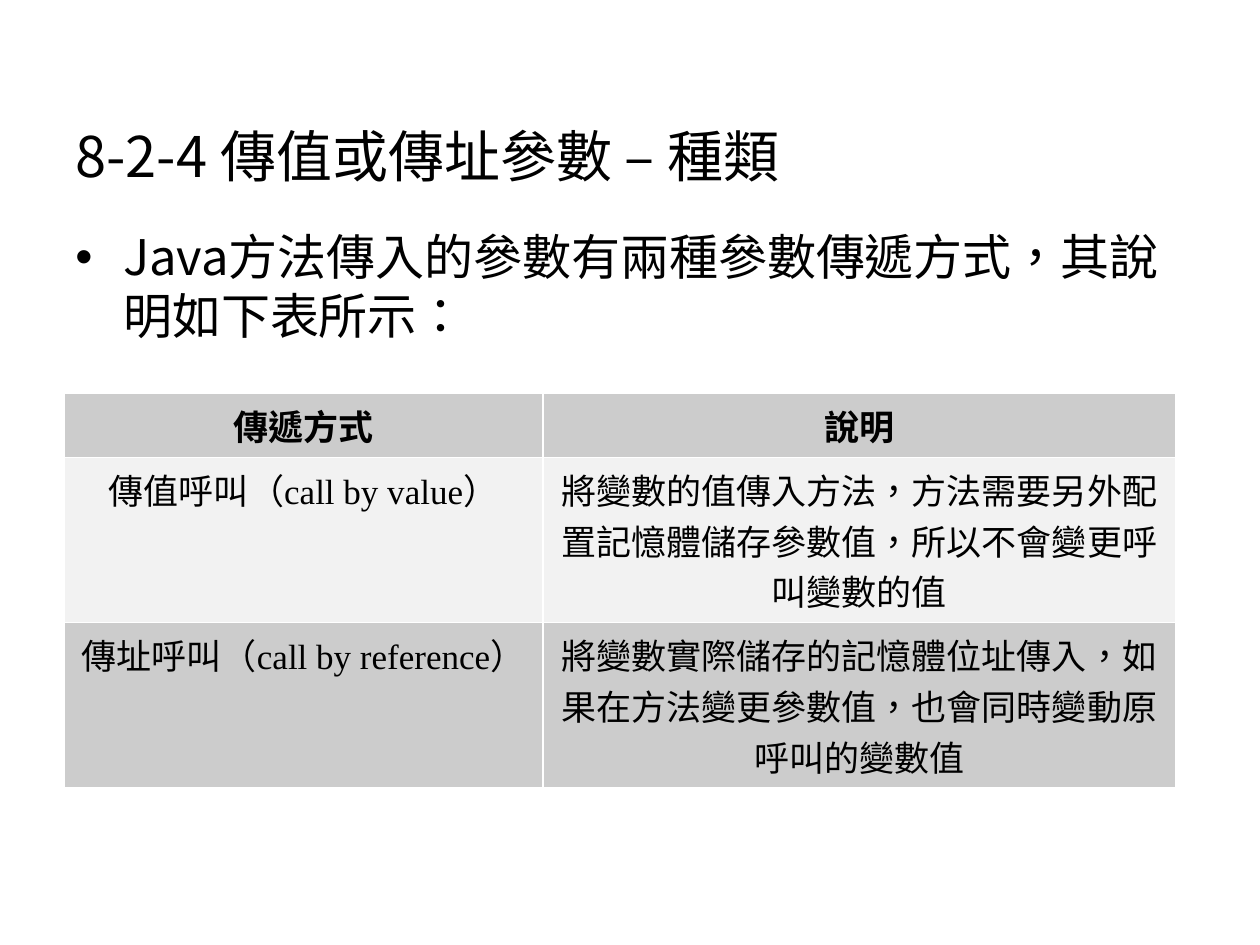
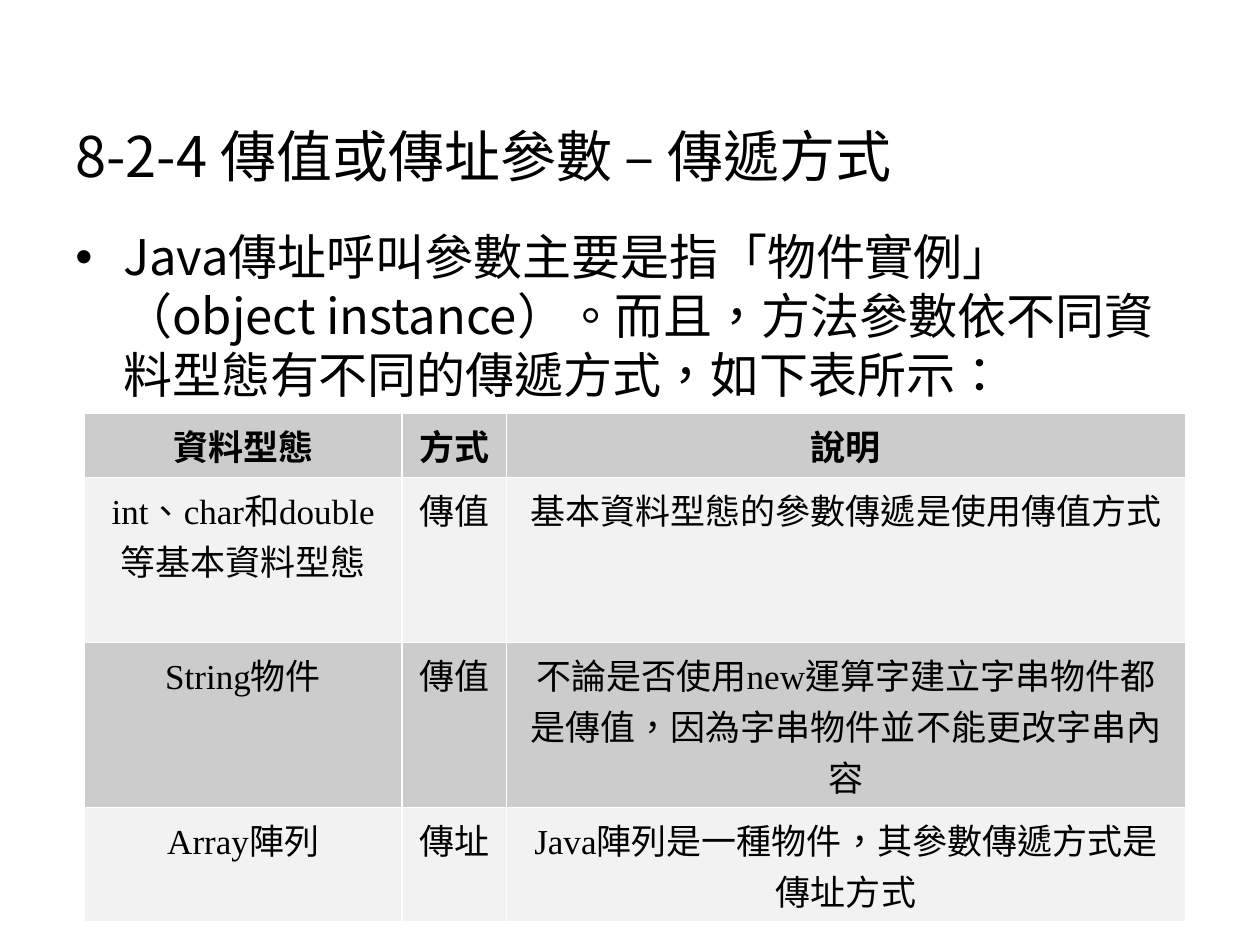
"""Build two slides on Java parameter passing, each with a title, a bullet and a table."""
from lxml import etree
from pptx import Presentation
from pptx.dml.color import RGBColor
from pptx.enum.text import MSO_ANCHOR, PP_ALIGN
from pptx.oxml.ns import qn
from pptx.util import Inches, Pt

BLACK = RGBColor(0x00, 0x00, 0x00)
DARK_BAND = RGBColor(0xCC, 0xCC, 0xCC)
LIGHT_BAND = RGBColor(0xF2, 0xF2, 0xF2)
BORDER = RGBColor(0xFF, 0xFF, 0xFF)
SANS = "Noto Sans CJK SC"
SERIF = "Times New Roman"
BOTTOM = MSO_ANCHOR.BOTTOM
TOP = MSO_ANCHOR.TOP
LEFT = PP_ALIGN.LEFT
CENTER = PP_ALIGN.CENTER

SLIDES = [
    {
        "title": "8-2-4 傳值或傳址參數 – 種類",
        "bullet": "Java方法傳入的參數有兩種參數傳遞方式，其說明如下表所示：",
        "corner": (0.51, 3.12),
        "column_widths": [3.8, 5.02],
        "row_heights": [0.51, 1.31, 1.31],
        "rows": [
            ["傳遞方式", "說明"],
            ["傳值呼叫（call by value）",
             "將變數的值傳入方法，方法需要另外配置記憶體儲存參數值，所以不會變更呼叫變數的值"],
            ["傳址呼叫（call by reference）",
             "將變數實際儲存的記憶體位址傳入，如果在方法變更參數值，也會同時變動原呼叫的變數值"],
        ],
    },
    {
        "title": "8-2-4 傳值或傳址參數 – 傳遞方式",
        "bullet": "Java傳址呼叫參數主要是指「物件實例」（object instance）。"
                  "而且，方法參數依不同資料型態有不同的傳遞方式，如下表所示：",
        "corner": (0.67, 3.28),
        "column_widths": [2.52, 0.83, 5.39],
        "row_heights": [0.51, 1.31, 1.31, 0.91],
        "rows": [
            ["資料型態", "方式", "說明"],
            ["int、char和double等基本資料型態", "傳值", "基本資料型態的參數傳遞是使用傳值方式"],
            ["String物件", "傳值",
             "不論是否使用new運算字建立字串物件都是傳值，因為字串物件並不能更改字串內容"],
            ["Array陣列", "傳址", "Java陣列是一種物件，其參數傳遞方式是傳址方式"],
        ],
    },
]


def write_text(frame, text, size, font=SANS, bold=False, align=LEFT,
               anchor=TOP, bullet=False):
    """Fill a text frame with one formatted paragraph."""
    frame.word_wrap = True
    frame.vertical_anchor = anchor
    paragraph = frame.paragraphs[0]
    paragraph.alignment = align
    if bullet:
        properties = paragraph._p.get_or_add_pPr()
        properties.set("marL", str(Inches(0.38)))
        properties.set("indent", str(Inches(-0.38)))
        etree.SubElement(properties, qn("a:buFont"), typeface="Arial")
        etree.SubElement(properties, qn("a:buChar"), char="•")
    run = paragraph.add_run()
    run.text = text
    run.font.size = Pt(size)
    run.font.bold = bold
    run.font.color.rgb = BLACK
    run.font.name = font
    run_properties = run._r.get_or_add_rPr()
    run_properties.set("lang", "zh-TW")
    etree.SubElement(run_properties, qn("a:ea"), typeface=SANS)


def draw_borders(cell):
    """Draw thin white lines on all sides of a cell."""
    properties = cell._tc.get_or_add_tcPr()
    for side in ("lnL", "lnR", "lnT", "lnB"):
        line = etree.SubElement(properties, qn(f"a:{side}"), w=str(Pt(0.96)))
        fill = etree.SubElement(line, qn("a:solidFill"))
        etree.SubElement(fill, qn("a:srgbClr"), val=str(BORDER))


presentation = Presentation()
presentation.slide_width = Inches(10)
presentation.slide_height = Inches(7.5)

for content in SLIDES:
    slide = presentation.slides.add_slide(presentation.slide_layouts[6])

    title = slide.shapes.add_textbox(Inches(0.5), Inches(0.3), Inches(9), Inches(1.25))
    write_text(title.text_frame, content["title"], 32, anchor=BOTTOM)

    body = slide.shapes.add_textbox(Inches(0.5), Inches(1.75), Inches(9), Inches(4.95))
    write_text(body.text_frame, content["bullet"], 28, bullet=True)

    rows, widths, heights = content["rows"], content["column_widths"], content["row_heights"]
    left, top = content["corner"]
    table = slide.shapes.add_table(
        len(rows), len(widths), Inches(left), Inches(top),
        Inches(sum(widths)), Inches(sum(heights))).table
    for column, width in zip(table.columns, widths):
        column.width = Inches(width)
    for row_index, (row, height) in enumerate(zip(rows, heights)):
        table.rows[row_index].height = Inches(height)
        for column_index, text in enumerate(row):
            cell = table.cell(row_index, column_index)
            draw_borders(cell)
            cell.fill.solid()
            cell.fill.fore_color.rgb = LIGHT_BAND if row_index % 2 else DARK_BAND
            write_text(cell.text_frame, text, 20, font=SERIF,
                       bold=row_index == 0, align=CENTER)

presentation.save("out.pptx")
